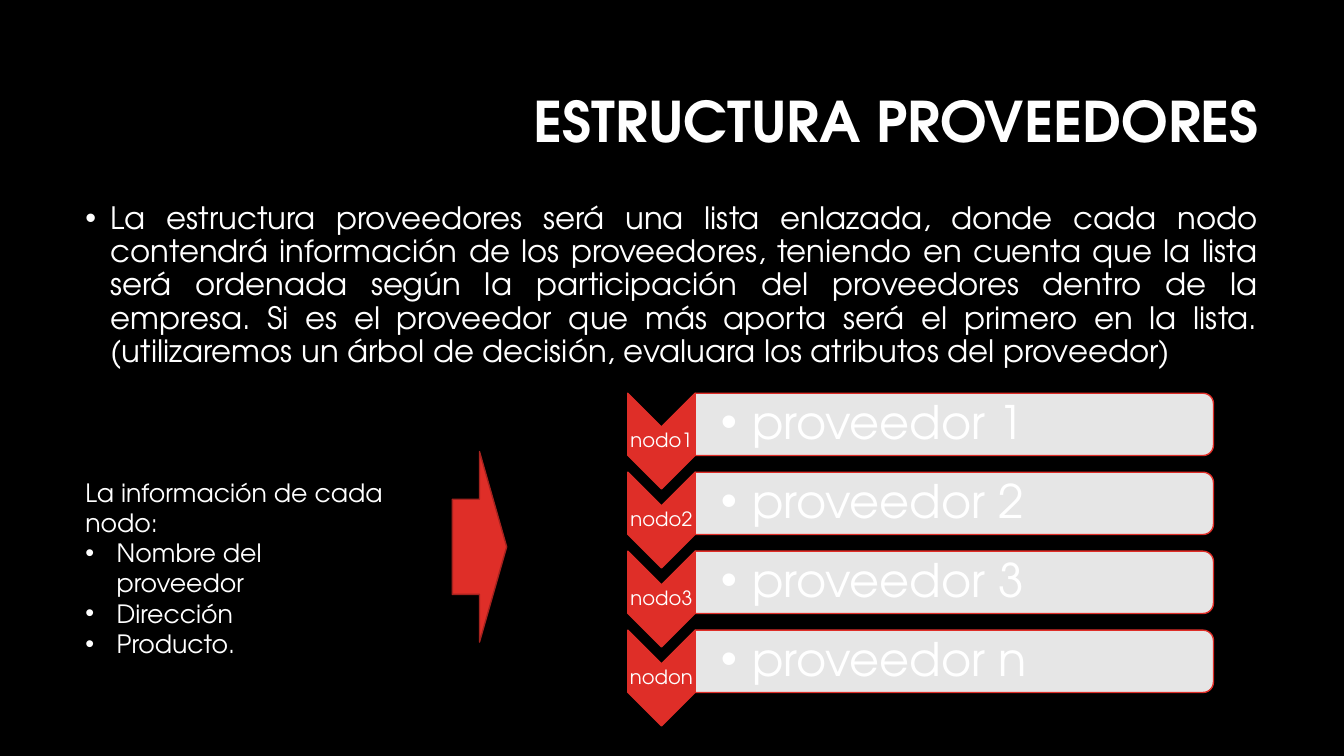
from lxml.etree import SubElement
from pptx import Presentation
from pptx.dml.color import RGBColor
from pptx.enum.shapes import MSO_SHAPE
from pptx.enum.text import MSO_ANCHOR, PP_ALIGN
from pptx.oxml.ns import qn
from pptx.util import Cm, Pt

WHITE, RED, DARK_RED = "FFFFFF", "DF2E28", "A5221E"


def paint(shape, fill, line):
    shape.shadow.inherit = False
    shape.fill.solid()
    shape.fill.fore_color.rgb = RGBColor.from_string(fill)
    shape.line.color.rgb = RGBColor.from_string(line)
    shape.line.width = Pt(1)


def write(box, lines, size, align=PP_ALIGN.LEFT, spacing=1.0, anchor=MSO_ANCHOR.TOP,
          margins=(0.25, 0.13, 0.25, 0.13), indent=0.0, first_bullet=0, bold=False):
    """Fill a box; paragraphs from first_bullet on are bulleted if indent is set."""
    frame = box.text_frame
    frame.text = "\n".join(lines)
    frame.word_wrap = True
    frame.vertical_anchor = anchor
    frame.margin_left, frame.margin_top, frame.margin_right, frame.margin_bottom = map(Cm, margins)
    for number, para in enumerate(frame.paragraphs):
        para.alignment = align
        para.line_spacing = spacing
        if indent and number >= first_bullet:
            properties = para._p.get_or_add_pPr()
            properties.set("marL", str(Cm(indent)))
            properties.set("indent", str(-Cm(indent)))
            SubElement(properties, qn("a:buFont")).set("typeface", "Arial")
            SubElement(properties, qn("a:buChar")).set("char", "•")
        for span in para.runs:
            span.font.name = "TeX Gyre Adventor"
            span.font.size = Pt(size)
            span.font.bold = bold
            span.font.color.rgb = RGBColor.from_string(WHITE)


deck = Presentation()
deck.slide_width, deck.slide_height = Cm(33.87), Cm(19.05)
page = deck.slides.add_slide(deck.slide_layouts[5])
page.background.fill.solid()
page.background.fill.fore_color.rgb = RGBColor.from_string("000000")

# Title
title = page.shapes.title
title.left, title.top, title.width, title.height = Cm(8.05), Cm(2.13), Cm(23.93), Cm(3.58)
write(title, ["ESTRUCTURA PROVEEDORES"], 40, PP_ALIGN.RIGHT, 0.9,
      margins=(0.25, 0.25, 0.25, 0.13), bold=True)

# Description
description = page.shapes.add_textbox(Cm(1.9), Cm(4.98), Cm(30.05), Cm(11.18))
write(description, [
    "La estructura proveedores será una lista enlazada, donde cada nodo contendrá "
    "información de los proveedores, teniendo en cuenta que la lista será ordenada según "
    "la participación del proveedores dentro de la empresa. Si es el proveedor que más "
    "aporta será el primero en la lista.(utilizaremos un árbol de decisión, evaluara los "
    "atributos del proveedor)"], 22, PP_ALIGN.JUSTIFY, 0.9, indent=0.64)

# Linked list: one chevron and one bar per node
nodes = page.shapes.add_group_shape().shapes
column_left, column_width, bar_width = 15.82, 1.7, 13.06
chevron_length, bar_height = 2.41, 1.57
bar_left = column_left + column_width
for row, suffix in enumerate("123n"):
    top = 9.91 + row * 1.99

    # Both shapes are turned a quarter, so the frame is placed around the centre
    chevron = nodes.add_shape(
        MSO_SHAPE.CHEVRON, Cm(column_left + (column_width - chevron_length) / 2),
        Cm(top + (chevron_length - column_width) / 2), Cm(chevron_length), Cm(column_width))
    chevron.rotation = 90
    paint(chevron, RED, RED)
    label = nodes.add_textbox(Cm(column_left), Cm(top + 0.85), Cm(column_width), Cm(0.73))
    write(label, [f"nodo{suffix}"], 14, PP_ALIGN.CENTER, 0.9, MSO_ANCHOR.MIDDLE, (0.02,) * 4)

    bar = nodes.add_shape(
        MSO_SHAPE.ROUND_2_SAME_RECTANGLE, Cm(bar_left + (bar_width - bar_height) / 2),
        Cm(top + (bar_height - bar_width) / 2), Cm(bar_height), Cm(bar_width))
    bar.rotation = 90
    paint(bar, WHITE, RED)
    bar_colour = bar.fill._xPr.find(qn("a:solidFill"))[0]
    SubElement(bar_colour, qn("a:alpha")).set("val", "90000")
    supplier = nodes.add_textbox(Cm(bar_left), Cm(top + 0.08), Cm(12.98), Cm(1.42))
    write(supplier, [f"proveedor {suffix}"], 33, spacing=0.9, anchor=MSO_ANCHOR.MIDDLE,
          margins=(0.65, 0.05, 0.05, 0.05), indent=0.79)

# Contents of each node
contents = page.shapes.add_textbox(Cm(1.9), Cm(11.89), Cm(8.2), Cm(5.64))
write(contents, ["La información de cada nodo:", "Nombre del proveedor", "Dirección",
                 "Producto."], 18, indent=0.79, first_bullet=1)

# Arrow to the list
arrow = page.shapes.add_shape(MSO_SHAPE.RIGHT_ARROW, Cm(11.4), Cm(11.38), Cm(1.37), Cm(4.8))
paint(arrow, RED, DARK_RED)

deck.save("out.pptx")
